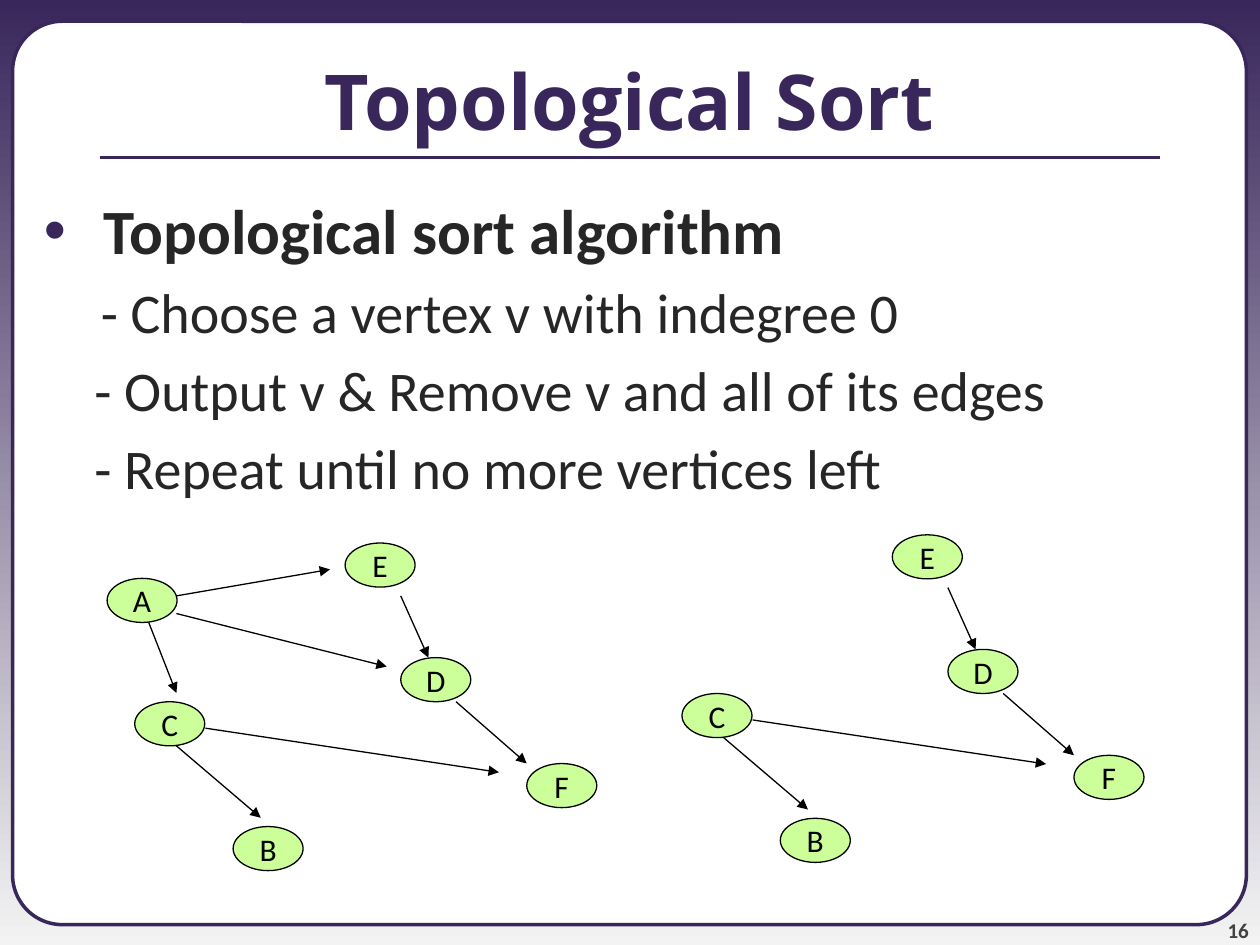
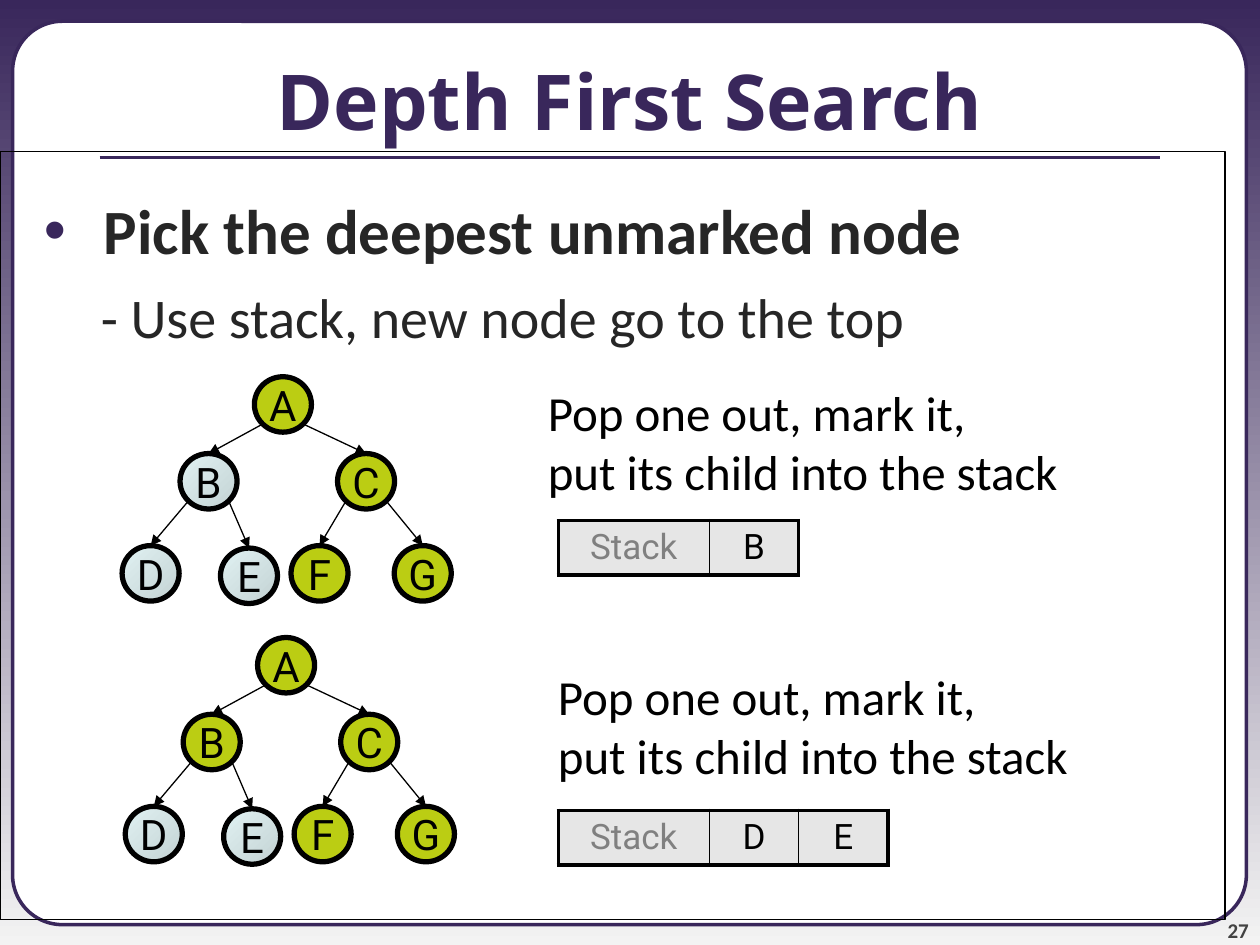
from lxml import etree
from pptx import Presentation
from pptx.dml.color import RGBColor
from pptx.enum import shapes, text
from pptx.oxml.ns import qn
from pptx.util import Pt

PLUM = RGBColor(0x39, 0x27, 0x5B)
PALE = RGBColor(0xF3, 0xF3, 0xF3)
WHITE = RGBColor(0xFF, 0xFF, 0xFF)
BLACK = RGBColor(0, 0, 0)
INK = RGBColor(0x26, 0x26, 0x26)
SLATE = RGBColor(0x42, 0x42, 0x42)
GRAY = RGBColor(0x80, 0x80, 0x80)
CELL = RGBColor(0xE6, 0xE6, 0xE6)
LIME = RGBColor(0xCC, 0xFF, 0x99)
OLIVE = RGBColor(0xBB, 0xCD, 0x13)
MIST = (RGBColor(0xE1, 0xF2, 0xF3), RGBColor(0xC3, 0xD2, 0xD3))

OVAL = (40, 25.2)
NODES = {"E": (136, 0), "F": (239.8, 126), "D": (167.8, 65.5),
         "A": (0, 20.2), "C": (15.8, 90.7), "B": (72, 162)}
EDGES = {"AE": (39.6, 30.2, 127.4, 15.1), "AD": (39.6, 40.3, 159.8, 70.6),
         "AC": (23.8, 45.4, 39.6, 85.7), "DF": (199.4, 90.7, 239.8, 126),
         "ED": (167.8, 30.2, 183.6, 65.5), "CB": (39.6, 115.9, 87.8, 157),
         "CF": (56.2, 105.8, 223.9, 131)}

DISC = (32.6, 31.7)
TREE = {"A": (75.6, 0), "B": (33.1, 43.9), "C": (123.1, 43.9), "D": (0, 96.5),
        "E": (56.2, 97.9), "F": (96.5, 96.5), "G": (155.5, 96.5)}
LINKS = ("AB", "AC", "BD", "BE", "CF", "CG")


def points(*nums):
    """Turn plain numbers into lengths in points."""
    return [Pt(num) for num in nums]


def write(frame, words, size, color=BLACK, face="Calibri", bold=False,
          align=None, left=0, first=0, gap=0, mark=None):
    """Add one formatted paragraph to a text frame."""
    para = frame.paragraphs[0] if not frame.text else frame.add_paragraph()
    run = para.add_run()
    run.text = words
    run.font.size, run.font.name, run.font.bold = Pt(size), face, bold
    run.font.color.rgb = color
    para.alignment = align
    para.space_before = Pt(gap)
    props = para._p.get_or_add_pPr()
    props.set("marL", str(Pt(left)))
    props.set("indent", str(Pt(first)))
    if mark:
        tint = etree.SubElement(props, qn("a:buClr"))
        etree.SubElement(tint, qn("a:srgbClr"), val=str(PLUM))
        etree.SubElement(props, qn("a:buFont"), typeface="Arial")
        etree.SubElement(props, qn("a:buChar"), char=mark)


def shade(fill, colors, angle):
    """Apply a two-colour linear gradient."""
    fill.gradient()
    fill.gradient_angle = angle
    for stop, color in zip(fill.gradient_stops, colors):
        stop.color.rgb = color


def outline(shape, color, width):
    """Set line colour and width, and drop the shadow."""
    shape.line.color.rgb = color
    shape.line.width = Pt(width)
    shape.shadow.inherit = False


def stroke(canvas, ends, color=BLACK, width=0.75, arrow=True):
    """Draw a straight line, with an arrowhead if asked."""
    line = canvas.add_connector(shapes.MSO_CONNECTOR.STRAIGHT, *points(*ends))
    line.line.color.rgb = color
    line.line.width = Pt(width)
    props = line.element.spPr
    if arrow:
        etree.SubElement(props.find(qn("a:ln")), qn("a:tailEnd"), type="triangle")
    etree.SubElement(props, qn("a:effectLst"))


def node(canvas, name, box, fill, width, size, face):
    """Draw one labelled graph node; a pair of colours means a gradient."""
    oval = canvas.add_shape(shapes.MSO_SHAPE.OVAL, *points(*box))
    if isinstance(fill, RGBColor):
        oval.fill.solid()
        oval.fill.fore_color.rgb = fill
    else:
        shade(oval.fill, fill, 315)
    outline(oval, BLACK, width)
    frame = oval.text_frame
    frame.word_wrap = False
    frame.vertical_anchor = text.MSO_ANCHOR.MIDDLE
    frame.margin_left = frame.margin_right = 0
    frame.margin_top = frame.margin_bottom = 0
    write(frame, name, size, face=face, align=text.PP_ALIGN.CENTER)


def base(deck, title, number):
    """Add a slide with the shared panel, title, rule and number."""
    slide = deck.slides.add_slide(deck.slide_layouts[5])
    shade(slide.background.fill, (PLUM, PALE), 270)
    canvas = slide.shapes
    panel = canvas.add_shape(shapes.MSO_SHAPE.ROUNDED_RECTANGLE,
                             *points(7.2, 12.2, 705, 516.2))
    panel.adjustments[0] = 0.055
    panel.fill.solid()
    panel.fill.fore_color.rgb = WHITE
    outline(panel, PLUM, 2)
    foot = canvas.add_textbox(*points(653.8, 509.8, 59.8, 28.8)).text_frame
    foot.margin_left = foot.margin_right = foot.margin_bottom = 0
    foot.vertical_anchor = text.MSO_ANCHOR.BOTTOM
    write(foot, number, 12, SLATE, bold=True, align=text.PP_ALIGN.RIGHT)
    stroke(canvas, (57, 90, 663, 90), PLUM, 2.25, arrow=False)
    head = canvas.title
    head.left, head.top, head.width, head.height = points(0, 12.2, 720, 90)
    head.text_frame.vertical_anchor = text.MSO_ANCHOR.MIDDLE
    write(head.text_frame, title, 44, PLUM, "Open Sans", True,
          text.PP_ALIGN.CENTER)
    head.element.getparent().append(head.element)
    return slide


def body(slide, box, head, items, gap):
    """Write a bulleted heading and its dashed items; return the box."""
    shape = slide.shapes.add_textbox(*points(*box))
    frame = shape.text_frame
    frame.word_wrap = True
    frame.margin_top = Pt(23)
    write(frame, head, 36, INK, bold=True, left=52.3, first=-34.3, mark="•")
    for rank, item in enumerate(items):
        write(frame, item, 32, INK, left=46.9 if rank else 50.5, gap=gap)
    return shape


def graph(slide, left, top, gone=""):
    """Draw the directed graph without the vertices that are gone."""
    canvas = slide.shapes.add_group_shape().shapes
    for name, (x, y) in NODES.items():
        if name not in gone:
            node(canvas, name, (left + x, top + y, *OVAL), LIME, 0.75, 18, "Calibri")
    for pair, (x, y, endx, endy) in EDGES.items():
        if not set(pair) & set(gone):
            stroke(canvas, (left + x, top + y, left + endx, top + endy))


def tree(slide, left, top, marked):
    """Draw the binary tree with its marked nodes in olive."""
    canvas = slide.shapes.add_group_shape().shapes
    wide, high = DISC
    for name, (x, y) in TREE.items():
        fill = OLIVE if name in marked else MIST
        node(canvas, name, (left + x, top + y, wide, high), fill, 3, 24, "Roboto")
    for above, below in LINKS:
        (x, y), (endx, endy) = TREE[above], TREE[below]
        side = 0.15 if endx < x else 0.85
        stroke(canvas, (left + x + side * wide, top + y + 0.85 * high,
                        left + endx + wide / 2, top + endy))


def note(slide, left, top, high):
    """Write the two-line step caption."""
    frame = slide.shapes.add_textbox(*points(left, top, 394.6, high)).text_frame
    frame.word_wrap = True
    frame.margin_left = Pt(13.5)
    for words in ("Pop one out, mark it,", "put its child into the stack"):
        write(frame, words, 28)


def border(cell, widths):
    """Draw black cell borders, given widths by side."""
    props = cell._tc.get_or_add_tcPr()
    for rank, (side, width) in enumerate(widths.items()):
        line = etree.Element(qn("a:ln" + side), w=str(Pt(width)))
        fill = etree.SubElement(line, qn("a:solidFill"))
        etree.SubElement(fill, qn("a:srgbClr"), val=str(BLACK))
        props.insert(rank, line)


def stack(slide, left, top, names):
    """Draw the stack as a one-row table."""
    wides = [86.4] + [51] * len(names)
    grid = slide.shapes.add_table(
        1, len(wides), *points(left, top, sum(wides), 31)).table
    grid.first_row = grid.horz_banding = False
    last = len(names)
    for col, (wide, words) in enumerate(zip(wides, ["Stack", *names])):
        grid.columns[col].width = Pt(wide)
        cell = grid.cell(0, col)
        cell.fill.solid()
        cell.fill.fore_color.rgb = CELL
        write(cell.text_frame, words, 20, BLACK if col else GRAY, "Roboto",
              align=text.PP_ALIGN.CENTER)
        border(cell, {"L": 1 if col else 2.25, "R": 1 if col < last else 2.25,
                      "T": 2.25, "B": 2.25})


def sort(deck):
    """Build the topological sort slide."""
    slide = base(deck, "Topological Sort", "16")
    body(slide, (0, 86.4, 700, 437.8), "Topological sort algorithm",
         ("- Choose a vertex v with indegree 0",
          "- Output v & Remove v and all of its edges",
          "- Repeat until no more vertices left"), 6)
    graph(slide, 61.2, 310.3)
    graph(slide, 373.9, 305.6, gone="A")


def search(deck):
    """Build the depth first search slide."""
    slide = base(deck, "Depth First Search", "27")
    box = body(slide, (0, 86.4, 700, 439.2), "Pick the deepest unmarked node",
               ("- Use stack, new node go to the top",), 9)
    outline(box, BLACK, 0.75)
    note(slide, 299.5, 215.3, 97.9)
    stack(slide, 319, 297.4, "B")
    stack(slide, 319, 463, "DE")
    note(slide, 305.3, 377.3, 74.9)
    tree(slide, 69.8, 215.3, "ACFG")
    tree(slide, 71.6, 364.3, "ABCFG")


def main():
    """Build and save the deck."""
    deck = Presentation()
    deck.slide_width, deck.slide_height = points(720, 540)
    sort(deck)
    search(deck)
    deck.save("out.pptx")


if __name__ == "__main__":
    main()
